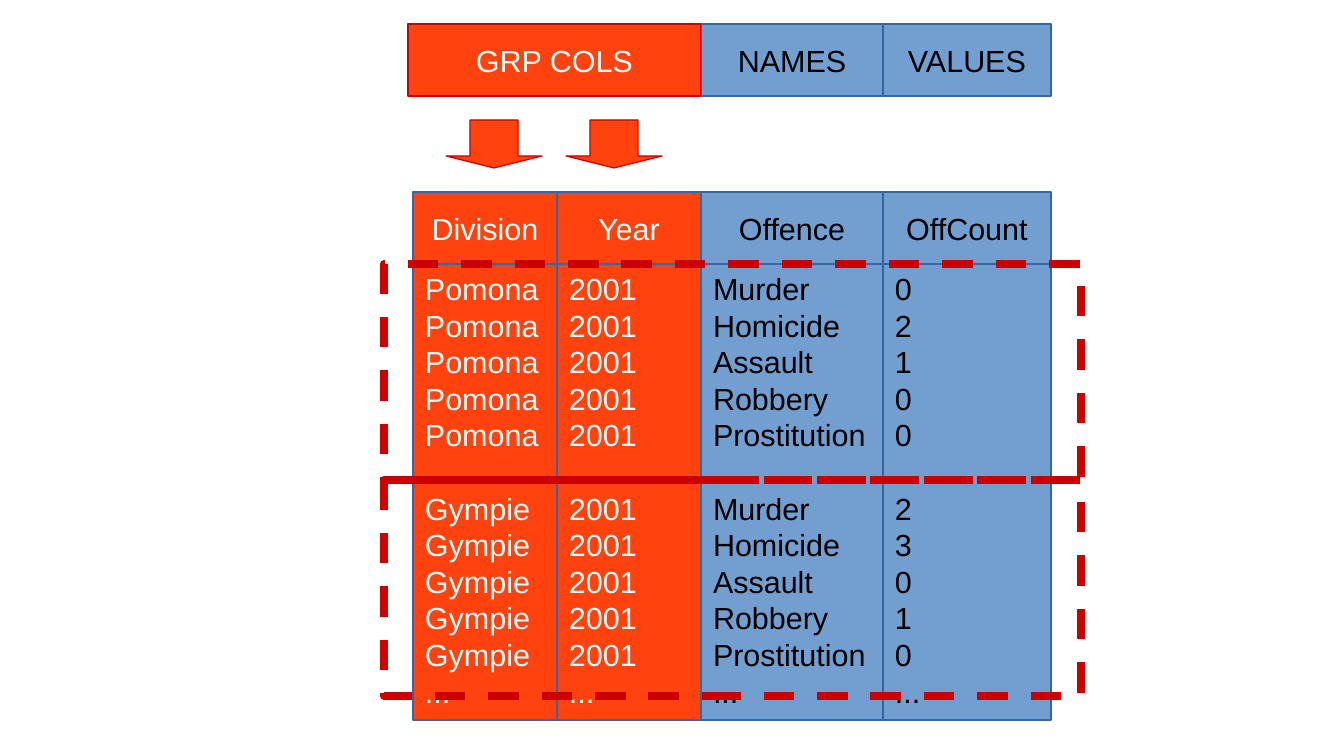
from pptx import Presentation
from pptx import util as u
from pptx.dml import color
from pptx.enum import dml, shapes, text

PX = 914400 / 122
ORANGE, BLUE, RED, NAVY = "FF420E", "729FCF", "CC0000", "3465A4"
WHITE, BLACK = "FFFFFF", "000000"
HEADER_HEIGHT, BODY_HEIGHT, GROUP_HEIGHT = 72, 456, 216
TITLE_TOP, HEADER_TOP, BODY_TOP = 24, 192, 264
OFFENCES = ["Murder", "Homicide", "Assault", "Robbery", "Prostitution", "..."]
COLUMNS = [
    ("Division", 413, 144, ORANGE, WHITE,
     ["Pomona"] * 5 + ["..."] + ["Gympie"] * 5 + ["..."]),
    ("Year", 557, 144, ORANGE, WHITE, (["2001"] * 5 + ["..."]) * 2),
    ("Offence", 701, 182, BLUE, BLACK, OFFENCES * 2),
    ("OffCount", 883, 168, BLUE, BLACK,
     ["0", "2", "1", "0", "0", "...", "2", "3", "0", "1", "0", "..."]),
]
TITLES = [
    ("VALUES", 883, 168, BLUE, NAVY, BLACK),
    ("NAMES", 701, 182, BLUE, NAVY, BLACK),
    ("GRP COLS", 408, 293, ORANGE, RED, WHITE),
]


def px(length):
    """Turn pixels into EMU."""
    return u.Emu(round(length * PX))


def rgb(value):
    """Turn a hex string into a colour."""
    return color.RGBColor.from_string(value)


def add_box(page, kind, left, top, width, height, fill, line):
    """Add a filled preset shape with a hairline outline."""
    box = page.shapes.add_shape(kind, px(left), px(top), px(width), px(height))
    box.shadow.inherit = False
    box.fill.solid()
    box.fill.fore_color.rgb = rgb(fill)
    box.line.color.rgb = rgb(line)
    box.line.width = u.Pt(0)
    return box


def write_lines(box, lines, ink, align, anchor):
    """Write one paragraph per line into a box."""
    frame = box.text_frame
    frame.word_wrap = True
    frame.vertical_anchor = anchor
    for index, line in enumerate(lines):
        para = frame.add_paragraph() if index else frame.paragraphs[0]
        para.alignment = align
        para.line_spacing = u.Pt(21.6)
        span = para.add_run()
        span.text = line
        span.font.name = "Arial"
        span.font.size = u.Pt(18)
        span.font.color.rgb = rgb(ink)


def add_label(page, label, left, top, width, fill, line, ink):
    """Add a header cell with centred text."""
    box = add_box(page, shapes.MSO_SHAPE.RECTANGLE, left, top, width,
                  HEADER_HEIGHT, fill, line)
    write_lines(box, [label], ink, text.PP_ALIGN.CENTER, text.MSO_ANCHOR.MIDDLE)


def add_column(page, name, left, width, fill, ink, values):
    """Add a header cell and the list of values below it."""
    add_label(page, name, left, HEADER_TOP, width, fill, NAVY, ink)
    body = add_box(page, shapes.MSO_SHAPE.RECTANGLE, left, BODY_TOP, width,
                   BODY_HEIGHT, fill, NAVY)
    write_lines(body, values, ink, text.PP_ALIGN.LEFT, text.MSO_ANCHOR.TOP)


def add_arrow(page, left):
    """Add a flat down arrow under the group title."""
    arrow = add_box(page, shapes.MSO_SHAPE.DOWN_ARROW, left, 120, 96, 48,
                    ORANGE, RED)
    arrow.adjustments[0] = 0.5
    arrow.adjustments[1] = 0.25


def add_group_frame(page, top):
    """Add a dashed frame around one group of rows."""
    frame = add_box(page, shapes.MSO_SHAPE.RECTANGLE, 384, top, 697,
                    GROUP_HEIGHT, WHITE, RED)
    frame.fill.background()
    frame.line.width = u.Pt(4.5)
    frame.line.dash_style = dml.MSO_LINE.DASH


def main():
    """Build the slide and save it."""
    deck = Presentation()
    deck.slide_width, deck.slide_height = px(1344), px(756)
    page = deck.slides.add_slide(deck.slide_layouts[6])
    for column in COLUMNS:
        add_column(page, *column)
    for label, left, width, fill, line, ink in TITLES:
        add_label(page, label, left, TITLE_TOP, width, fill, line, ink)
    for index in range(2):
        add_arrow(page, 446 + 120 * index)
    for index in range(2):
        add_group_frame(page, BODY_TOP + GROUP_HEIGHT * index)
    deck.save("out.pptx")


if __name__ == "__main__":
    main()
